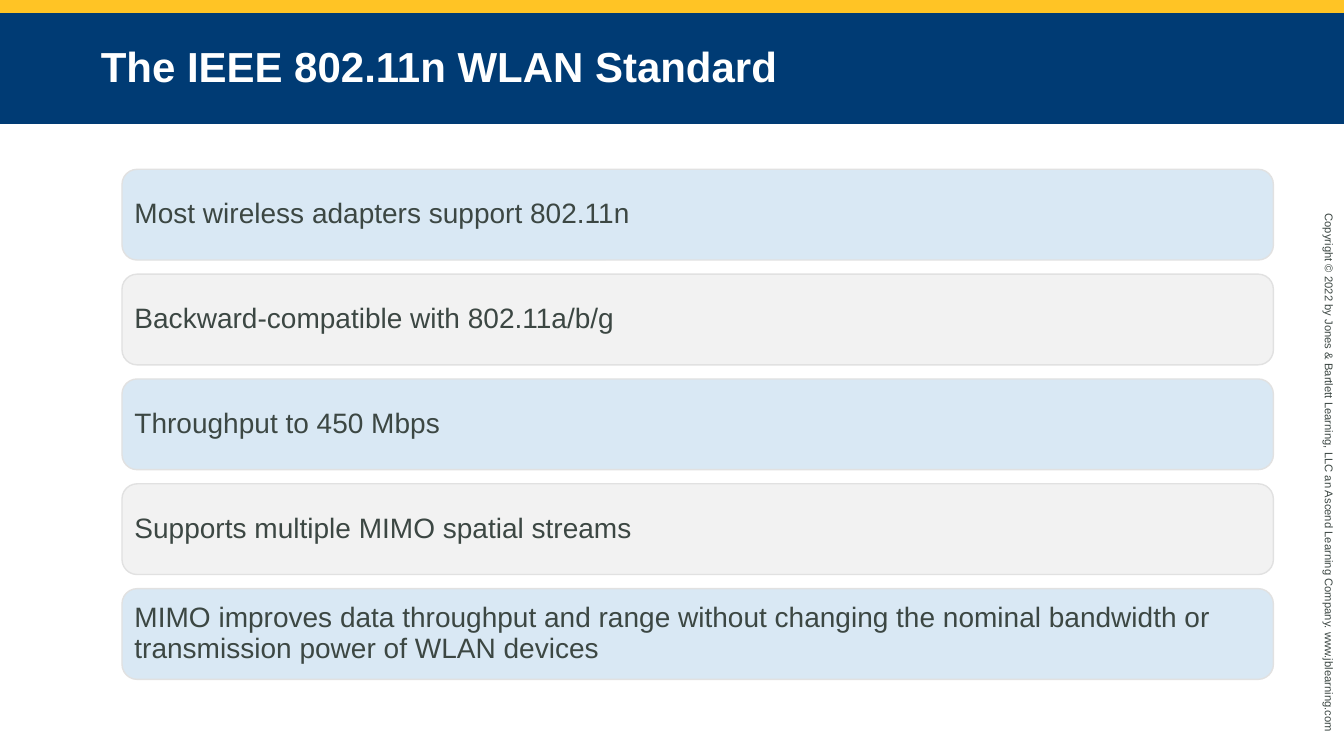
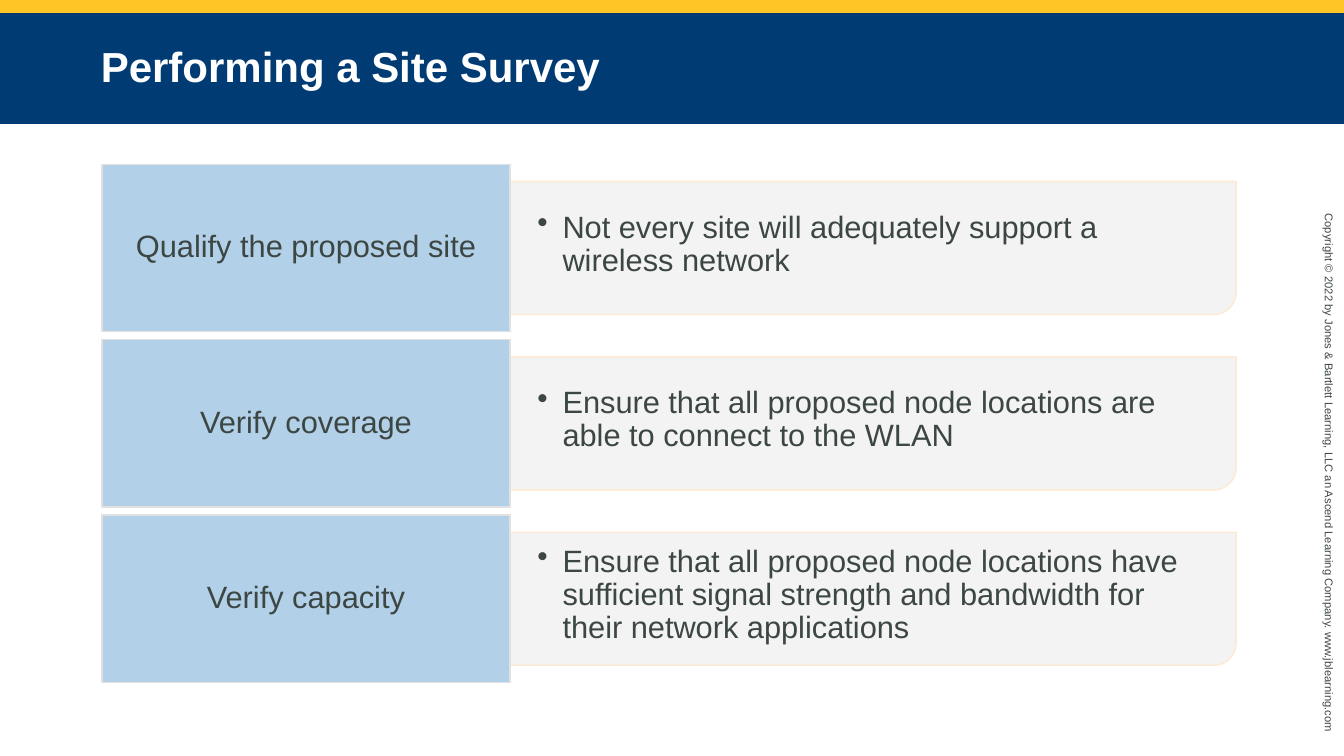
from dataclasses import dataclass

from lxml import etree
from pptx import Presentation
from pptx import util as u
from pptx.dml.color import RGBColor
from pptx.enum import shapes, text
from pptx.oxml import ns

EMU_PER_PX = 9144  # 100 px to the inch
SLIDE_W, SLIDE_H = 1333, 750
STRIPE_H, TITLE_H = 13, 110


@dataclass(frozen=True)
class Theme:
    font: str = "Arial"
    gold: str = "FFC425"
    navy: str = "003B74"
    white: str = "FFFFFF"
    ink: str = "3C4743"
    pale_blue: str = "D9E8F4"
    mid_blue: str = "B3D0E9"
    grey: str = "F2F2F2"
    edge: str = "E1E1E1"
    cream: str = "FFE9CD"
    title_size: int = 30
    step_size: int = 22
    card_size: int = 20
    copyright_size: int = 8


THEME = Theme()

COPYRIGHT = ("Copyright © 2022 by Jones & Bartlett Learning, LLC an Ascend "
             "Learning Company. www.jblearning.com")

STANDARD_FACTS = [
    "Most wireless adapters support 802.11n",
    "Backward-compatible with 802.11a/b/g",
    "Throughput to 450 Mbps",
    "Supports multiple MIMO spatial streams",
    "MIMO improves data throughput and range without changing the nominal "
    "bandwidth or transmission power of WLAN devices",
]

SURVEY_STEPS = [
    ("Qualify the proposed site",
     "Not every site will adequately support a wireless network"),
    ("Verify coverage",
     "Ensure that all proposed node locations are able to connect to the WLAN"),
    ("Verify capacity",
     "Ensure that all proposed node locations have sufficient signal strength "
     "and bandwidth for their network applications"),
]


def px(*lengths):
    return [u.Emu(length * EMU_PER_PX) for length in lengths]


def set_alpha(color_format_parent, percent):
    """Make the solid colour below an element partly transparent."""
    color = color_format_parent.find(ns.qn("a:solidFill"))[0]
    etree.SubElement(color, ns.qn("a:alpha"), val=str(percent * 1000))


def add_bullet(paragraph, indent):
    properties = paragraph._p.get_or_add_pPr()
    margin = px(indent)[0]
    properties.set("marL", str(margin))
    properties.set("indent", str(-margin))
    etree.SubElement(properties, ns.qn("a:buChar"), char="•")


def write(shape, words, size, color=THEME.ink, bold=False, spacing=None,
          align=text.PP_ALIGN.LEFT, anchor=text.MSO_ANCHOR.MIDDLE,
          insets=(10, 5), bullet_indent=None):
    """Put formatted text in a shape; insets are (sides, top and bottom)."""
    frame = shape.text_frame
    frame.word_wrap = True
    frame.auto_size = text.MSO_AUTO_SIZE.NONE
    frame.vertical_anchor = anchor
    frame.margin_left = frame.margin_right = px(insets[0])[0]
    frame.margin_top = frame.margin_bottom = px(insets[1])[0]
    paragraph = frame.paragraphs[0]
    paragraph.alignment = align
    if spacing:
        paragraph.line_spacing = spacing
    if bullet_indent:
        add_bullet(paragraph, bullet_indent)
    run = paragraph.add_run()
    run.text = words
    run.font.name = THEME.font
    run.font.size = u.Pt(size)
    run.font.bold = bold
    run.font.color.rgb = RGBColor.from_string(color)


def add_panel(slide, kind, box, fill, line=None, opacity=None):
    panel = slide.shapes.add_shape(kind, *px(*box))
    panel.shadow.inherit = False
    panel.fill.solid()
    panel.fill.fore_color.rgb = RGBColor.from_string(fill)
    if line:
        panel.line.color.rgb = RGBColor.from_string(line)
        panel.line.width = u.Pt(1)
    else:
        panel.line.fill.background()
    if opacity:
        properties = panel.element.spPr
        set_alpha(properties, opacity)
        set_alpha(properties.find(ns.qn("a:ln")), opacity)
    return panel


def add_text_box(slide, box, words, size, **style):
    text_box = slide.shapes.add_textbox(*px(*box))
    write(text_box, words, size, **style)
    return text_box


def add_titled_slide(deck, layout, title):
    slide = deck.slides.add_slide(layout)
    band = slide.shapes.title
    band.left, band.top, band.width, band.height = px(0, STRIPE_H, SLIDE_W, TITLE_H)
    band.fill.solid()
    band.fill.fore_color.rgb = RGBColor.from_string(THEME.navy)
    write(band, title, THEME.title_size, color=THEME.white, bold=True,
          spacing=0.95, insets=(100, 5))
    return slide


def furnish_layout(layout, slide):
    """Draw the stripe and copyright line, then hand them to the layout."""
    stripe = add_panel(slide, shapes.MSO_SHAPE.RECTANGLE,
                       (0, 0, SLIDE_W, STRIPE_H), THEME.gold)
    notice = add_text_box(slide, (1044, 464, 548, 24), COPYRIGHT,
                          THEME.copyright_size, anchor=text.MSO_ANCHOR.TOP)
    notice.rotation = 90
    for part in (stripe, notice):
        layout.shapes.element.append(part.element)


def add_fact_cards(slide, facts):
    left, top, width, height, gap = 121, 168, 1142, 90, 14
    for row, fact in enumerate(facts):
        fill = THEME.grey if row % 2 else THEME.pale_blue
        card = add_panel(slide, shapes.MSO_SHAPE.ROUNDED_RECTANGLE,
                         (left, top + row * (height + gap), width, height),
                         fill, THEME.edge)
        write(card, fact, THEME.card_size, spacing=0.9, insets=(8, 8))


def add_survey_steps(slide, steps):
    left, top, label_w, label_h, gap = 101, 163, 405, 166, 8
    detail_w, detail_h, detail_text_h = 720, 132, 126
    detail_left = left + label_w
    # A quarter turn swaps the sides of the frame around its centre
    turn = (detail_w - detail_h) // 2
    for row, (label, detail) in enumerate(steps):
        label_top = top + row * (label_h + gap)
        detail_top = label_top + (label_h - detail_h) // 2
        panel = add_panel(slide, shapes.MSO_SHAPE.ROUND_1_RECTANGLE,
                          (detail_left + turn, detail_top - turn, detail_h, detail_w),
                          THEME.grey, THEME.cream, opacity=90)
        panel.rotation = 90
        add_text_box(slide, (detail_left, detail_top, detail_w, detail_text_h),
                     detail, THEME.step_size, spacing=0.9, insets=(27, 14),
                     bullet_indent=25)
        step = add_panel(slide, shapes.MSO_SHAPE.RECTANGLE,
                         (left, label_top, label_w, label_h),
                         THEME.mid_blue, THEME.edge)
        write(step, label, THEME.step_size, spacing=0.9, insets=(9, 5),
              align=text.PP_ALIGN.CENTER)


def main():
    deck = Presentation()
    deck.slide_width, deck.slide_height = px(SLIDE_W, SLIDE_H)
    title_only = deck.slide_layouts[5]

    standard = add_titled_slide(deck, title_only, "The IEEE 802.11n WLAN Standard")
    furnish_layout(title_only, standard)
    add_fact_cards(standard, STANDARD_FACTS)

    survey = add_titled_slide(deck, title_only, "Performing a Site Survey")
    add_survey_steps(survey, SURVEY_STEPS)

    deck.save("out.pptx")


if __name__ == "__main__":
    main()
